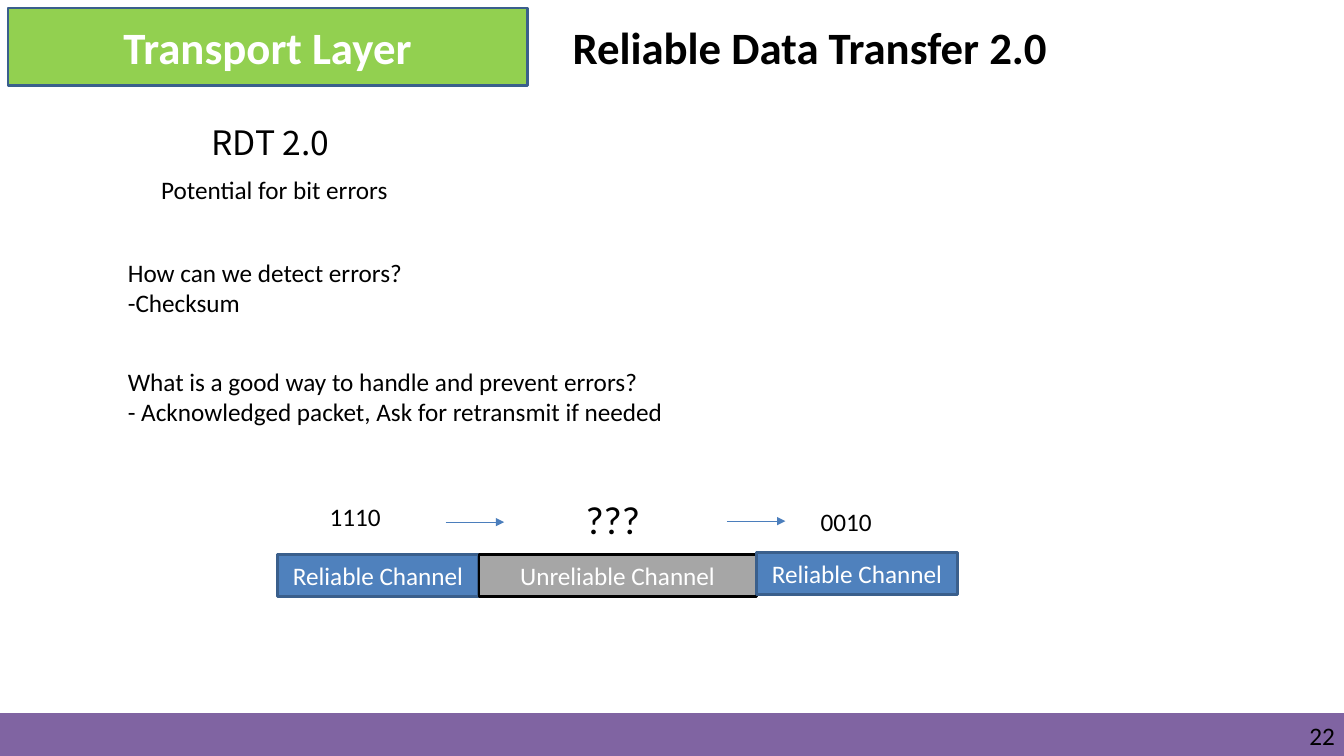
from pptx import Presentation
from pptx.dml.color import RGBColor
from pptx.enum.shapes import MSO_CONNECTOR as Connector, MSO_SHAPE as Shape
from pptx.enum.text import MSO_ANCHOR as Anchor, PP_ALIGN as Align
from pptx.oxml.ns import qn
from pptx.util import Pt
from lxml.etree import SubElement

PX = 9144  # 100 px to the inch
COLORS = {
    "black": "000000", "white": "FFFFFF", "green": "92D050", "purple": "8064A2",
    "blue": "4F81BD", "navy": "3A5F8C", "gray": "A6A6A6", "arrow": "4B7EBC",
}


def color(name):
    return RGBColor.from_string(COLORS[name])


def emu(*lengths):
    return [length * PX for length in lengths]


def write(shape, lines, ink="black", align=Align.LEFT, **font):
    """Fill the shape with one paragraph per line."""
    frame = shape.text_frame
    frame.word_wrap = True
    for index, line in enumerate(lines):
        paragraph = frame.add_paragraph() if index else frame.paragraphs[0]
        paragraph.alignment = align
        run = paragraph.add_run()
        run.text = line
        run.font.color.rgb = color(ink)
        formats = {"name": "Calibri", "size": Pt(18)} | font
        for name, value in formats.items():
            setattr(run.font, name, value)


def add_text(slide, box, *lines, **formats):
    shape = slide.shapes.add_textbox(*emu(*box))
    write(shape, lines, **formats)
    return shape


def add_block(slide, box, fill, line, weight=2):
    shape = slide.shapes.add_shape(Shape.RECTANGLE, *emu(*box))
    shape.shadow.inherit = False
    shape.fill.solid()
    shape.fill.fore_color.rgb = color(fill)
    shape.line.color.rgb = color(line)
    shape.line.width = Pt(weight)
    shape.text_frame.vertical_anchor = Anchor.MIDDLE
    return shape


def add_arrow(slide, left, top, length):
    arrow = slide.shapes.add_connector(
        Connector.STRAIGHT, *emu(left, top, left + length, top))
    arrow.line.color.rgb = color("arrow")
    arrow.line.width = Pt(0.75)
    SubElement(arrow.line._get_or_add_ln(), qn("a:tailEnd"), type="triangle")
    SubElement(arrow._element.spPr, qn("a:effectLst"))


def add_header(slide, left, top, width, height):
    badge = add_block(slide, (left, top, 515, height), "green", "navy")
    heading = {"size": Pt(32), "bold": True}
    write(badge, ["Transport Layer"], "white", Align.CENTER, **heading)
    add_text(slide, (left + 550, top + 7, width - 550, 64),
             "Reliable Data Transfer 2.0", **heading)


def add_questions(slide, left, top, width):
    add_text(slide, (left + 83, top, 154, 50), "RDT 2.0",
             name="Noto Sans CJK KR", size=Pt(24))
    add_text(slide, (left + 33, top + 52, 261, 40), "Potential for bit errors")
    questions = [
        ("How can we detect errors?", "-Checksum"),
        ("What is a good way to handle and prevent errors?",
         "- Acknowledged packet, Ask for retransmit if needed"),
    ]
    for index, lines in enumerate(questions):
        add_text(slide, (left, top + 134 + 108 * index, width, 71), *lines)


def add_channels(slide, left, top, height):
    channels = [
        ("Reliable Channel", 200, 0, "blue", "navy"),
        ("Unreliable Channel", 275, 0, "gray", "black"),
        ("Reliable Channel", 200, -2, "blue", "navy"),
    ]
    x = left
    for label, width, shift, fill, line in channels:
        block = add_block(slide, (x, top + shift, width, height), fill, line)
        write(block, [label], "white", Align.CENTER)
        x += width

    add_text(slide, (left + 42, top - 58, 76, 40), "1110")
    add_text(slide, (left + 529, top - 53, 76, 40), "0010")
    add_text(slide, (left + 296, top - 64, 86, 57), "???", size=Pt(28))
    add_arrow(slide, left + 167, top - 32, 58)
    add_arrow(slide, left + 446, top - 33, 58)


def add_footer(slide, left, top, width, height):
    add_block(slide, (left, top, width, height), "purple", "purple", 1)
    number = add_text(slide, (left + width - 316, top + 7, 307, 30), "22",
                      align=Align.RIGHT)
    for side in ("left", "top", "right", "bottom"):
        setattr(number.text_frame, f"margin_{side}", 0)


def main():
    presentation = Presentation()
    presentation.slide_width, presentation.slide_height = emu(1333, 750)
    slide = presentation.slides.add_slide(presentation.slide_layouts[6])
    add_footer(slide, 0, 708, 1333, 42)
    add_header(slide, 8, 8, 1118, 77)
    add_questions(slide, 117, 116, 604)
    add_channels(slide, 275, 550, 42)
    presentation.save("out.pptx")


if __name__ == "__main__":
    main()
